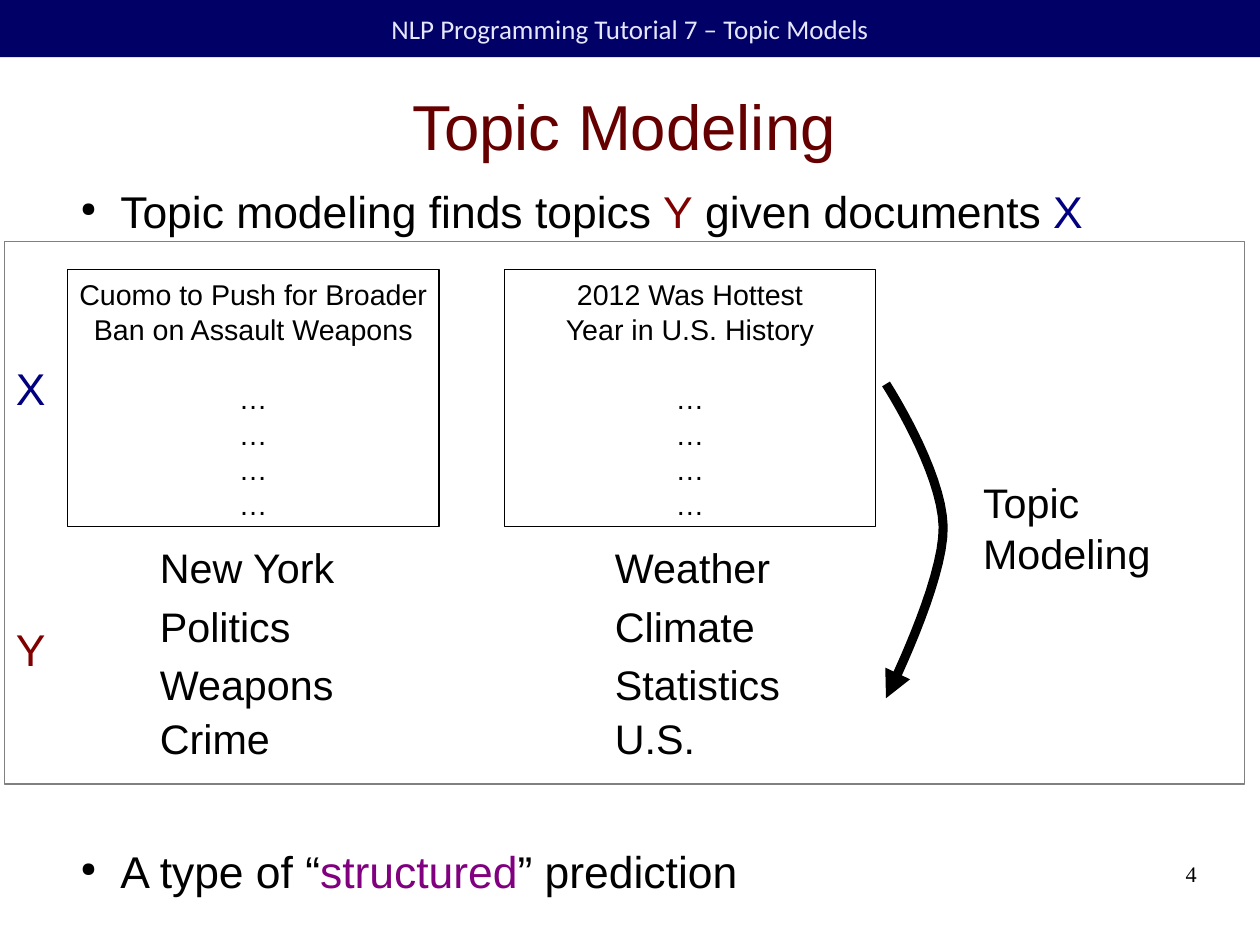
from lxml.etree import SubElement as Sub
from pptx import Presentation
from pptx.dml.color import RGBColor
from pptx.enum.shapes import MSO_SHAPE as Shape
from pptx.enum.text import MSO_ANCHOR as Anchor, MSO_AUTO_SIZE as Auto, PP_ALIGN as Align
from pptx.oxml.ns import qn
from pptx.util import Pt

BLACK, NAVY, RED, PURPLE = "000000", "000080", "800000", "800080"
HEAD = "NLP Programming Tutorial 7 – Topic Models"
TITLE = "Topic Modeling"
POINTS = [
    [("Topic modeling finds topics ", BLACK), ("Y", RED),
     (" given documents ", BLACK), ("X", NAVY)],
    [("A type of “", BLACK), ("structured", PURPLE), ("” prediction", BLACK)],
]
DOCS = [
    (42.5, 93.6, ["Cuomo to Push for Broader", "Ban on Assault Weapons"],
     ["New York", "Politics", "Weapons", "Crime"]),
    (317.5, 380.2, ["2012 Was Hottest", "Year in U.S. History"],
     ["Weather", "Climate", "Statistics", "U.S."]),
]
DOTS = ["…"] * 4
TOPIC_TOPS = [338.4, 375.1, 411.8, 445.7]
SIDES = [("X", 223.9, NAVY), ("Y", 388.1, RED)]
ARC = [
    [(558, 241.9), (558, 241.9), (593.3, 296.6), (594, 331.9)],
    [(594, 331.9), (594.7, 366.5), (558, 439.9), (558, 439.9)],
]
STEPS = 16
WIDE, HIGH = 793.5, 595.4

deck = Presentation()
deck.slide_width, deck.slide_height = Pt(WIDE), Pt(HIGH)
slide = deck.slides.add_slide(deck.slide_layouts[5])
shapes = slide.shapes


def color(code):
    return RGBColor.from_string(code)


def apply(item, form):
    for key, val in form.items():
        setattr(item, key, val)


def style(run, size, code=BLACK, face="Arial"):
    apply(run.font, {"size": Pt(size), "name": face})
    run.font.color.rgb = color(code)


def setup(frame, pad=(7.2, 3.6), anchor=Anchor.TOP, wrap=False):
    x, y = map(Pt, pad)
    apply(frame, {"margin_left": x, "margin_right": x, "margin_top": y,
                  "margin_bottom": y, "auto_size": Auto.NONE,
                  "vertical_anchor": anchor, "word_wrap": wrap})


def write(frame, lines, size, code=BLACK, face="Arial", align=Align.LEFT, space=1.0):
    for i, line in enumerate(lines):
        para = frame.add_paragraph() if i else frame.paragraphs[0]
        apply(para, {"alignment": align, "line_spacing": space})
        run = para.add_run()
        run.text = line
        style(run, size, code, face)


def label(box, lines, size, code=BLACK, space=1.0):
    frame = shapes.add_textbox(*map(Pt, box)).text_frame
    setup(frame)
    write(frame, lines, size, code, space=space)


def block(box, fill=None, edge=None):
    rect = shapes.add_shape(Shape.RECTANGLE, *map(Pt, box))
    rect.shadow.inherit = False
    if fill:
        rect.fill.solid()
        rect.fill.fore_color.rgb = color(fill)
    else:
        rect.fill.background()
    if edge:
        rect.line.color.rgb = color(edge)
        rect.line.width = Pt(0)
    else:
        rect.line.fill.background()
    return rect


def bullet(para):
    props = para._p.get_or_add_pPr()
    props.set("marL", str(Pt(34)))
    props.set("indent", str(Pt(-25)))
    Sub(Sub(props, qn("a:buClr")), qn("a:srgbClr"), val=BLACK)
    Sub(props, qn("a:buSzPct"), val="45000")
    Sub(props, qn("a:buChar"), char="●")


def bezier(a, b, c, d, t):
    s = 1 - t
    return tuple(s**3 * p + 3 * s * s * t * q + 3 * s * t * t * u + t**3 * v
                 for p, q, u, v in zip(a, b, c, d))


bar = block((0, 0, WIDE, 36), fill="000066").text_frame
setup(bar, anchor=Anchor.MIDDLE, wrap=True)
write(bar, [HEAD], 17, "E6E6FF", "Calibri", Align.CENTER)

title = shapes.title
apply(title, {"left": Pt(36), "top": Pt(33), "width": Pt(714), "height": Pt(91.4)})
setup(title.text_frame, (0, 0), Anchor.MIDDLE, True)
write(title.text_frame, [TITLE], 40, "660000", align=Align.CENTER)

body = shapes.add_textbox(Pt(41.8), Pt(116), Pt(714), Pt(450)).text_frame
setup(body, (0, 0), wrap=True)
for i, parts in enumerate(POINTS):
    para = body.add_paragraph() if i else body.paragraphs[0]
    bullet(para)
    if i:
        para.space_before = Pt(382)
    for text, code in parts:
        run = para.add_run()
        run.text = text
        style(run, 28, code)

for left, inset, news, topics in DOCS:
    frame = block((left, 170, 234, 162), edge=BLACK).text_frame
    setup(frame, anchor=Anchor.MIDDLE)
    write(frame, news + DOTS, 18, align=Align.CENTER, space=1.03)
    frame.paragraphs[len(news)].space_before = Pt(21.5)
    for top, topic in zip(TOPIC_TOPS, topics):
        label((inset, top, 125, 36), [topic], 26)

dots = [ARC[0][0]] + [bezier(*part, n / STEPS) for part in ARC for n in range(1, STEPS + 1)]
path = [(Pt(x), Pt(y)) for x, y in dots]
pen = shapes.build_freeform(*path[0])
pen.add_line_segments(path[1:], close=False)
arrow = pen.convert_to_shape()
arrow.shadow.inherit = False
arrow.fill.background()
arrow.line.color.rgb = color(BLACK)
arrow.line.width = Pt(5.75)
Sub(arrow.line._get_or_add_ln(), qn("a:tailEnd"), type="triangle")

label((612, 296, 120, 65.5), ["Topic", "Modeling"], 26, space=1.03)
for name, top, code in SIDES:
    label((2.9, top, 33, 38), [name], 28, code)
block((2.9, 152, 781, 342), edge="808080")

page = shapes.add_textbox(Pt(568.8), Pt(542.2), Pt(185), Pt(41)).text_frame
setup(page, (0, 0), wrap=True)
write(page, ["4"], 14, face="Times New Roman", align=Align.RIGHT)

deck.save("out.pptx")
